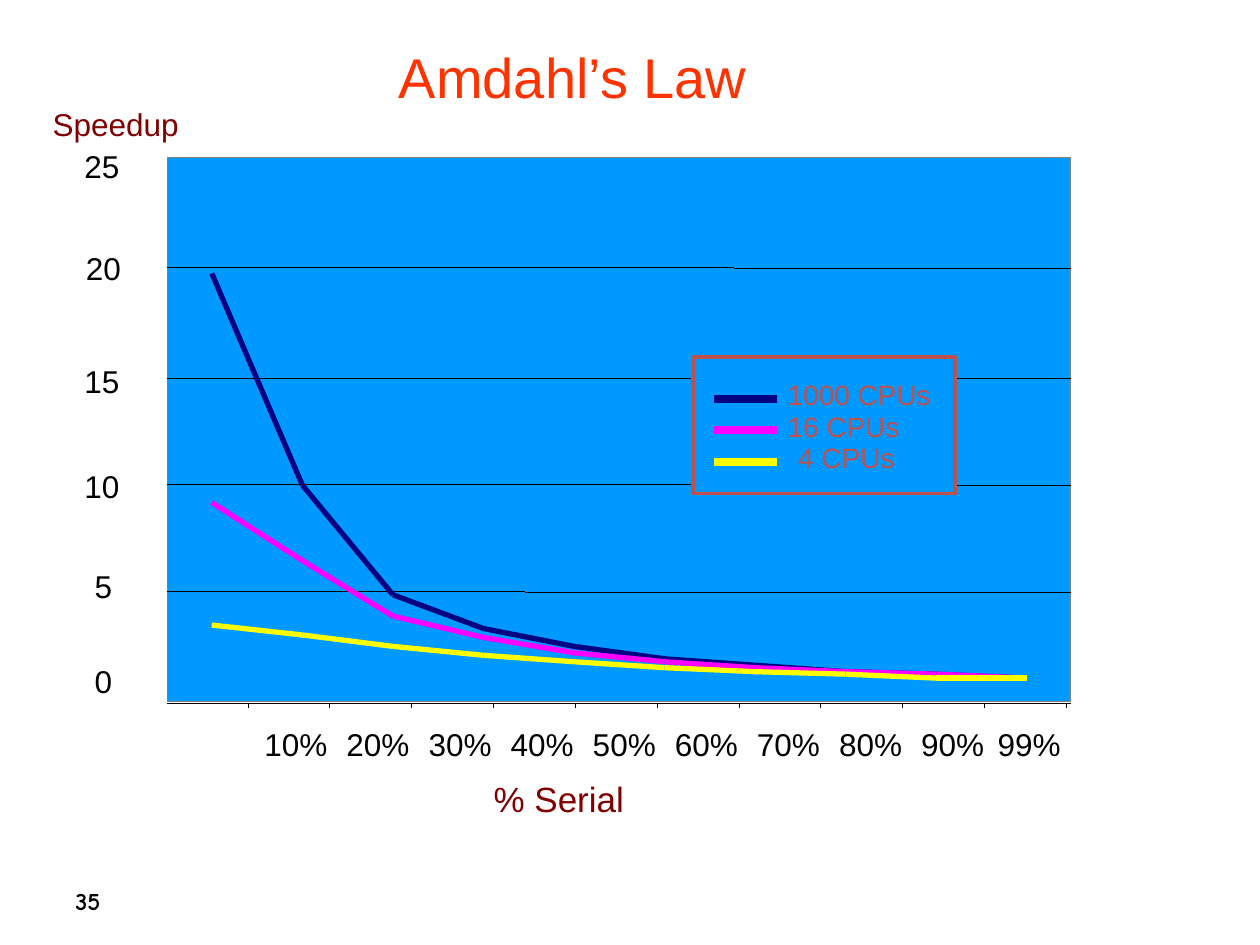
from pptx import Presentation
from pptx.dml.color import RGBColor
from pptx.enum.shapes import MSO_CONNECTOR, MSO_SHAPE
from pptx.enum.text import MSO_ANCHOR, MSO_AUTO_SIZE
from pptx.oxml.ns import qn
from pptx.util import Cm, Pt

COLORS = {
    "black": "000000",
    "plot": "0099FF",
    "plot_edge": "808080",
    "navy": "000080",
    "magenta": "FF00FF",
    "yellow": "FFFF00",
    "maroon": "800000",
    "legend": "C0504D",
    "title": "FF3300",
}
HAIRLINE = 0.01

prs = Presentation()
prs.slide_width, prs.slide_height = Cm(25.4), Cm(19.05)
slide = prs.slides.add_slide(prs.slide_layouts[6])


def add_line(x1, y1, x2, y2, color, width):
    line = slide.shapes.add_connector(
        MSO_CONNECTOR.STRAIGHT, Cm(x1), Cm(y1), Cm(x2), Cm(y2))
    line.line.color.rgb = RGBColor.from_string(COLORS[color])
    line.line.width = Pt(width)
    properties = line._element.spPr
    properties.append(properties.makeelement(qn("a:effectLst"), {}))


def add_label(text, x, y, width, height, size=18, color="black", wrap=False):
    frame = slide.shapes.add_textbox(Cm(x), Cm(y), Cm(width), Cm(height)).text_frame
    frame.margin_left = frame.margin_top = frame.margin_right = frame.margin_bottom = 0
    frame.word_wrap = wrap
    frame.auto_size = MSO_AUTO_SIZE.SHAPE_TO_FIT_TEXT
    paragraph = frame.paragraphs[0]
    paragraph.space_before = Pt(size * 0.2)
    run = paragraph.add_run()
    run.text = text
    run.font.name = "Arial"
    run.font.size = Pt(size)
    run.font.color.rgb = RGBColor.from_string(COLORS[color])


# Slide number
number_frame = slide.shapes.add_textbox(Cm(1.27), Cm(17.65), Cm(5.92), Cm(1.02)).text_frame
number_frame.word_wrap = True
number_frame.vertical_anchor = MSO_ANCHOR.MIDDLE
number = number_frame.paragraphs[0].add_run()
number.text = "35"
number.font.name = "Comic Neue"
number.font.size = Pt(14)
number.font.bold = True
number.font.color.rgb = RGBColor.from_string(COLORS["black"])

# Plot area and gridlines
PLOT_LEFT, PLOT_RIGHT = 3.38, 21.58
plot = slide.shapes.add_shape(
    MSO_SHAPE.RECTANGLE, Cm(PLOT_LEFT), Cm(3.18), Cm(18.19), Cm(10.97))
plot.shadow.inherit = False
plot.fill.solid()
plot.fill.fore_color.rgb = RGBColor.from_string(COLORS["plot"])
plot.line.color.rgb = RGBColor.from_string(COLORS["plot_edge"])
plot.line.width = Pt(0.75)

for y_left, y_right in [(11.93, 11.94), (9.77, 9.78), (5.39, 5.41), (7.62, 7.62)]:
    add_line(PLOT_LEFT, y_left, PLOT_RIGHT, y_right, "black", HAIRLINE)

# Speedup curves: the height of each point on the slide, from 10% to 99% serial
curves = [
    ("navy", [5.51, 9.78, 11.99, 12.67, 13.03, 13.28, 13.41, 13.54, 13.59, 13.67]),
    ("magenta", [10.13, 11.3, 12.42, 12.85, 13.16, 13.34, 13.46, 13.54, 13.59, 13.67]),
    ("yellow", [12.6, 12.8, 13.03, 13.21, 13.34, 13.46, 13.54, 13.59, 13.67, 13.67]),
]
point_x = [4.27 + 16.43 * i / 9 for i in range(10)]
for color, heights in curves:
    points = list(zip(point_x, heights))
    for start, end in zip(points, points[1:]):
        add_line(*start, *end, color, 3)

# Horizontal axis with ticks
add_line(PLOT_LEFT, 14.18, PLOT_RIGHT, 14.19, "black", HAIRLINE)
for i in range(11):
    tick_x = 5 + 1.65 * i
    add_line(tick_x, 14.27, tick_x, 14.19, "black", HAIRLINE)

# Axis values
for i in range(9):
    add_label(f"{10 * (i + 1)}%", 5.33 + 13.24 * i / 8, 14.61, 1.27, 0.76)
add_label("99%", 20.11, 14.61, 1.27, 0.76)

value_places = [(1.91, 13.34), (1.91, 11.43), (1.7, 9.42), (1.7, 7.29), (1.73, 5.03), (1.7, 2.97)]
for i, (x, y) in enumerate(value_places):
    value = str(5 * i)
    add_label(value, x, y, 0.37 * len(value), 0.76)

# Axis titles
add_label("Speedup", 1.06, 2.11, 2.69, 0.76, color="maroon")
add_label("% Serial", 9.95, 15.67, 2.74, 0.84, 20, "maroon")

# Legend
legend = slide.shapes.add_shape(
    MSO_SHAPE.RECTANGLE, Cm(13.97), Cm(7.2), Cm(5.29), Cm(2.75))
legend.shadow.inherit = False
legend.fill.solid()
legend.fill.fore_color.rgb = RGBColor.from_string(COLORS["plot"])
legend.line.color.rgb = RGBColor.from_string(COLORS["legend"])
legend.line.width = Pt(2.25)

entries = [("1000 CPUs", 15.88, 2.92), ("16 CPUs", 15.88, 2.29), ("4 CPUs", 16.09, 1.98)]
for i, ((color, _), (cpus, x, width)) in enumerate(zip(curves, entries)):
    offset = 1.27 * i / 2
    add_line(14.4, 8.04 + offset, 15.67, 8.04 + offset, color, 4.5)
    add_label(cpus, x, 7.62 + offset, width, 0.69, 16, "legend")

# Title
add_label("Amdahl’s Law", 8.04, 0.85, 10.59, 1.35, 32, "title", wrap=True)

prs.save("out.pptx")
